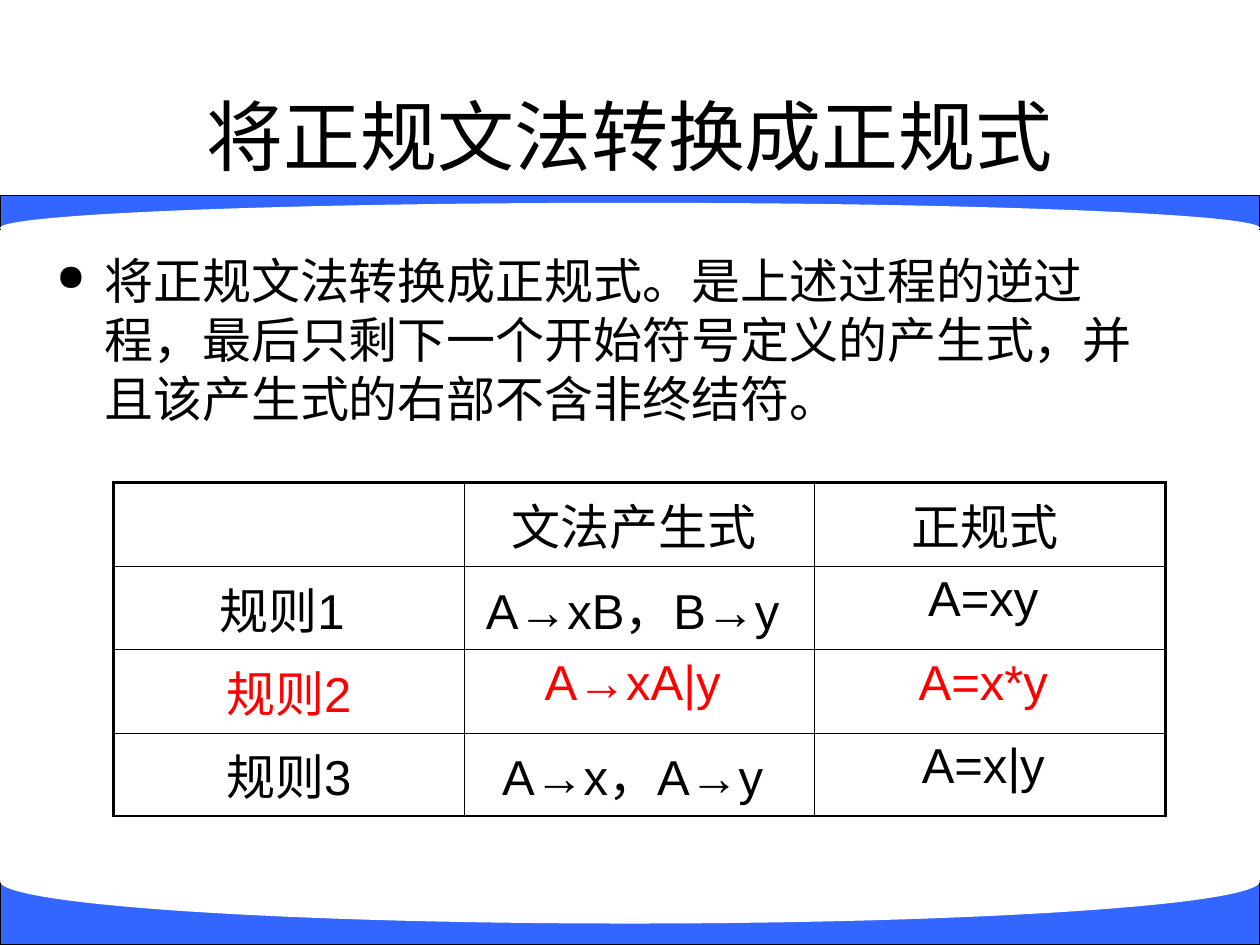
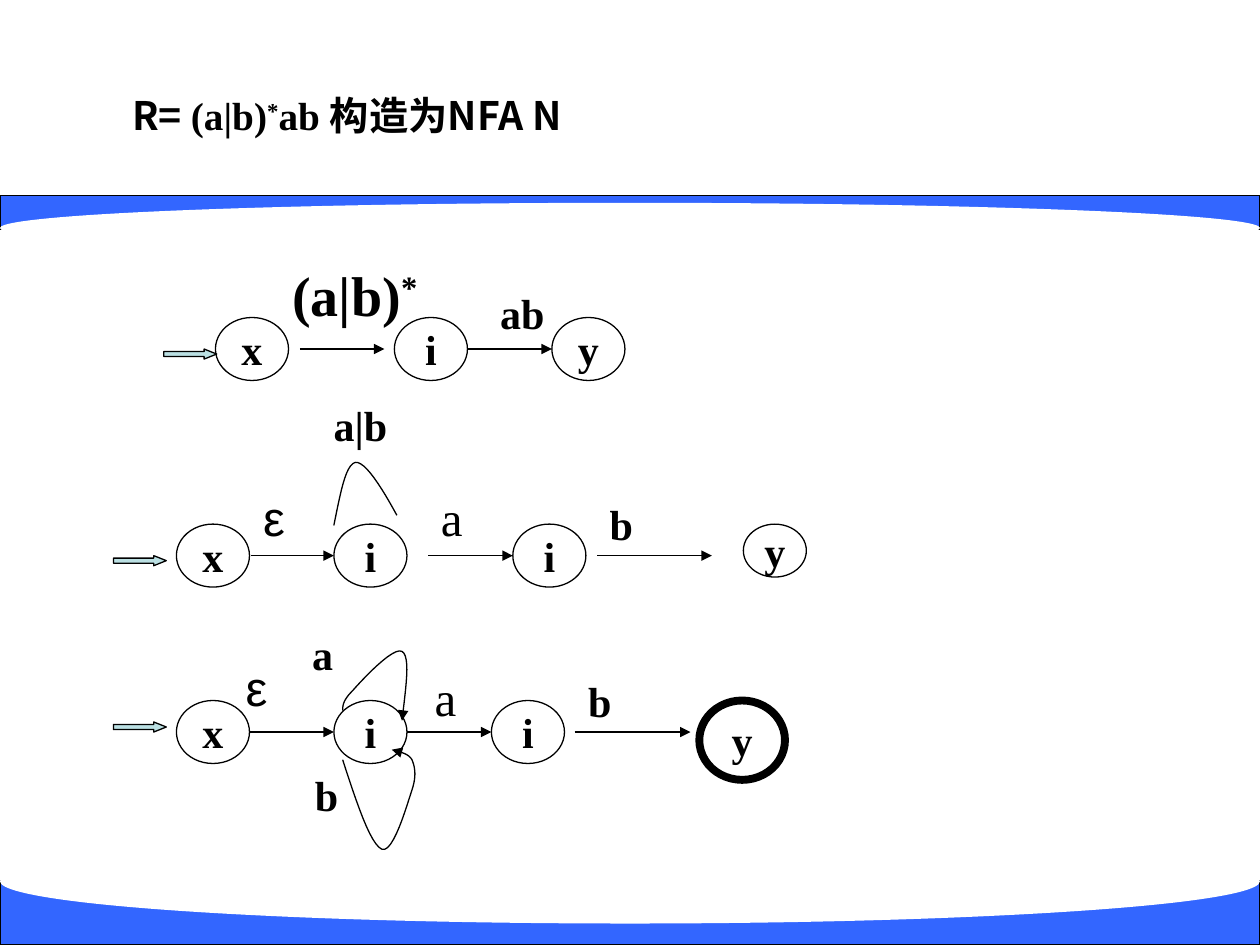
from pptx import Presentation
from pptx.dml.color import RGBColor
from pptx.enum.shapes import MSO_CONNECTOR, MSO_SHAPE
from pptx.enum.text import MSO_ANCHOR, PP_ALIGN
from pptx.oxml.ns import qn
from pptx.util import Inches, Pt
from lxml.etree import SubElement, Element

BLACK, WHITE, BLUE, RED, PALE = "000000", "FFFFFF", "3366FF", "FF0000", "BBE0E3"
SANS, SERIF, CHINESE = "Arial", "Times New Roman", "Noto Sans CJK SC"
STATE_WIDTH, STATE_HEIGHT = 0.58, 0.5


def paint(target, color):
    target.solid()
    target.fore_color.rgb = RGBColor.from_string(color)


def style_shape(shape, fill=None, line=BLACK, weight=0.75):
    shape.shadow.inherit = False
    if fill:
        paint(shape.fill, fill)
    else:
        shape.fill.background()
    if line:
        paint(shape.line.fill, line)
        shape.line.width = Pt(weight)
    else:
        shape.line.fill.background()


def add_preset(page, kind, left, top, width, height, **style):
    shape = page.shapes.add_shape(kind, Inches(left), Inches(top), Inches(width), Inches(height))
    style_shape(shape, **style)
    return shape


def add_span(para, text, size, font=SANS, color=BLACK, bold=False, raised=False):
    span = para.add_run()
    span.text = text
    span.font.size = Pt(size)
    span.font.name = font
    span.font.bold = bold
    span.font.color.rgb = RGBColor.from_string(color)
    properties = span._r.get_or_add_rPr()
    SubElement(properties, qn("a:ea")).set("typeface", CHINESE)
    if raised:
        properties.set("baseline", "30000")


def add_box(page, left, top, width, height, wrap=True):
    box = page.shapes.add_textbox(Inches(left), Inches(top), Inches(width), Inches(height))
    box.text_frame.word_wrap = wrap
    return box.text_frame


def hang(para, indent, spacing):
    properties = para._p.get_or_add_pPr()
    properties.set("marL", str(Inches(indent)))
    properties.set("indent", str(-Inches(indent)))
    properties.set("hangingPunct", "0")
    para.line_spacing = spacing
    return properties


def add_bands(page):
    for top, height, oval_top, oval_height in ((1.55, 0.27, 1.61, 0.4), (6.99, 0.51, 6.66, 0.67)):
        add_preset(page, MSO_SHAPE.RECTANGLE, 0, top, 10, height, fill=BLUE)
        add_preset(page, MSO_SHAPE.OVAL, 0, oval_top, 10, oval_height, fill=WHITE, line=None)


def add_page(deck):
    page = deck.slides.add_slide(deck.slide_layouts[6])
    paint(page.background.fill, WHITE)
    add_bands(page)
    return page


def add_title(page, text):
    frame = add_box(page, 0.33, 0.44, 9.34, 1.25)
    frame.vertical_anchor = MSO_ANCHOR.MIDDLE
    para = frame.paragraphs[0]
    para.alignment = PP_ALIGN.CENTER
    add_span(para, text, 44)


def add_bullet(page, text):
    para = add_box(page, 0.35, 1.94, 8.84, 1.66).paragraphs[0]
    properties = hang(para, 0.38, 1.0)
    color = SubElement(properties, qn("a:buClr"))
    SubElement(color, qn("a:srgbClr")).set("val", BLACK)
    SubElement(properties, qn("a:buSzPct")).set("val", "75000")
    SubElement(properties, qn("a:buChar")).set("char", "●")
    add_span(para, text, 28)


def set_borders(cell, weights):
    properties = cell._tc.get_or_add_tcPr()
    for position, (side, weight) in enumerate(zip("LRTB", weights)):
        border = Element(qn(f"a:ln{side}"), w=str(Pt(weight)))
        fill = SubElement(border, qn("a:solidFill"))
        SubElement(fill, qn("a:srgbClr")).set("val", BLACK)
        properties.insert(position, border)


def add_rule_table(page, rows, red_row):
    row_count, column_count = len(rows), len(rows[0])
    frame = page.shapes.add_table(row_count, column_count, Inches(0.9), Inches(3.83),
                                  Inches(8.35), Inches(2.65))
    table = frame.table
    table.first_row = table.horz_banding = False
    for r, texts in enumerate(rows):
        for c, text in enumerate(texts):
            cell = table.cell(r, c)
            cell.fill.background()
            outer = (c == 0, c == column_count - 1, r == 0, r == row_count - 1)
            set_borders(cell, [1.5 if edge else 0.45 for edge in outer])
            if text:
                para = cell.text_frame.paragraphs[0]
                para.alignment = PP_ALIGN.CENTER
                add_span(para, text, 28, color=RED if r == red_row else BLACK)


def add_state(page, name, left, top, width=STATE_WIDTH, height=STATE_HEIGHT, weight=0.75):
    state = add_preset(page, MSO_SHAPE.OVAL, left, top, width, height, weight=weight)
    frame = state.text_frame
    frame.word_wrap = False
    frame.vertical_anchor = MSO_ANCHOR.MIDDLE
    para = frame.paragraphs[0]
    para.alignment = PP_ALIGN.CENTER
    add_span(para, name, 24, SERIF, bold=True)


def add_start_arrow(page, left, top):
    arrow = add_preset(page, MSO_SHAPE.RIGHT_ARROW, left, top, 0.42, 0.08, fill=PALE)
    arrow.adjustments[0] = 0.5
    arrow.adjustments[1] = 1.25


def add_arrowhead(line):
    SubElement(line._get_or_add_ln(), qn("a:tailEnd")).set("type", "triangle")


def add_transition(page, start, end, y):
    arrow = page.shapes.add_connector(MSO_CONNECTOR.STRAIGHT, Inches(start), Inches(y),
                                      Inches(end), Inches(y))
    paint(arrow.line.fill, BLACK)
    arrow.line.width = Pt(0.75)
    add_arrowhead(arrow.line)
    SubElement(arrow._element.spPr, qn("a:effectLst"))


def curve_points(start, curves, steps=12):
    points = []
    for first, second, end in curves:
        for step in range(1, steps + 1):
            t = step / steps
            weights = ((1 - t) ** 3, 3 * t * (1 - t) ** 2, 3 * t * t * (1 - t), t ** 3)
            corners = (start, first, second, end)
            points.append(tuple(Inches(sum(w * corner[axis] for w, corner in zip(weights, corners)))
                                for axis in (0, 1)))
        start = end
    return points


def add_loop(page, start, curves, arrow=True):
    builder = page.shapes.build_freeform(Inches(start[0]), Inches(start[1]))
    builder.add_line_segments(curve_points(start, curves), close=False)
    loop = builder.convert_to_shape()
    style_shape(loop)
    if arrow:
        add_arrowhead(loop.line)


def add_label(page, text, left, top, width):
    para = add_box(page, left, top, width, 0.5, wrap=False).paragraphs[0]
    add_span(para, text, 24, SERIF, bold=True)


def add_plain_label(page, text, left, top, font=SERIF):
    para = add_box(page, left, top, 0.75, 0.57).paragraphs[0]
    add_span(para, text, 28, font)


def add_automaton(page, start_arrow, states, state_top, transitions):
    add_start_arrow(page, *start_arrow)
    for name, left in states:
        add_state(page, name, left, state_top)
    for start, end in transitions:
        add_transition(page, start, end, state_top + STATE_HEIGHT / 2)


def build_grammar_page(deck):
    page = add_page(deck)
    add_title(page, "将正规文法转换成正规式")
    add_bullet(page, "将正规文法转换成正规式。是上述过程的逆过程，最后只剩下一个开始符号定义的产生式，"
                     "并且该产生式的右部不含非终结符。")
    add_rule_table(page, [
        ("", "文法产生式 ", "正规式 "),
        ("规则1 ", "A→xB，B→y ", "A=xy "),
        ("规则2", "A→xA|y ", "A=x*y "),
        ("规则3", "A→x，A→y ", "A=x|y "),
    ], red_row=2)


def build_automata_page(deck):
    page = add_page(deck)
    heading = add_box(page, 0.95, 0.75, 8.5, 0.73).paragraphs[0]
    hang(heading, 0.38, 0.8)
    for text, font, raised in (("R= ", CHINESE, False), ("(a|b)", SERIF, False), ("*", SERIF, True),
                               ("ab ", SERIF, False), ("构造为NFA N", CHINESE, False)):
        add_span(heading, text, 22.4, font, bold=True, raised=raised)

    add_automaton(page, (1.3, 2.77), (("x", 1.71), ("i", 3.13), ("y", 4.38)), 2.52,
                  ((2.38, 3.05), (3.71, 4.38)))
    closure = add_box(page, 2.22, 2.02, 1.19, 0.64, wrap=False).paragraphs[0]
    add_span(closure, "(a|b)", 32, SERIF, bold=True)
    add_span(closure, "*", 32, SERIF, bold=True, raised=True)
    add_label(page, "ab", 3.87, 2.23, 0.55)

    add_automaton(page, (0.9, 4.41), (("x", 1.4), ("i", 2.65), ("i", 4.07)), 4.16,
                  ((1.99, 2.65), (3.4, 4.07), (4.74, 5.65)))
    add_state(page, "y", 5.9, 4.16, 0.5, 0.42)
    add_loop(page, (2.65, 4.17), [((2.7, 3.93), (2.74, 3.69), (2.82, 3.67)),
                                  ((2.9, 3.66), (3.03, 3.87), (3.15, 4.09))], arrow=False)
    add_label(page, "a|b", 2.55, 3.12, 0.64)
    add_label(page, "b", 4.74, 3.91, 0.38)
    add_plain_label(page, "ε", 1.99, 3.82, SANS)
    add_plain_label(page, "a", 3.4, 3.82)

    add_automaton(page, (0.9, 5.73), (("x", 1.4), ("i", 2.65), ("i", 3.9)), 5.56,
                  ((1.98, 2.65), (3.23, 3.9), (4.56, 5.48)))
    add_state(page, "y", 5.55, 5.56, 0.68, 0.63, weight=4.5)
    add_loop(page, (2.72, 5.64), [((2.72, 5.6), (2.72, 5.56), (2.8, 5.48)),
                                  ((2.87, 5.4), (3.12, 5.13), (3.19, 5.17)),
                                  ((3.26, 5.21), (3.22, 5.46), (3.19, 5.72))])
    add_loop(page, (2.72, 6.03), [((2.83, 6.37), (2.94, 6.7), (3.03, 6.74)),
                                  ((3.12, 6.78), (3.23, 6.39), (3.27, 6.27)),
                                  ((3.31, 6.15), (3.29, 6.08), (3.27, 6.03)),
                                  ((3.24, 5.98), (3.18, 5.97), (3.11, 5.95))])
    add_label(page, "a", 2.38, 4.94, 0.36)
    add_label(page, "b", 2.4, 6.06, 0.38)
    add_label(page, "b", 4.57, 5.31, 0.38)
    add_plain_label(page, "ε", 1.85, 5.17, SANS)
    add_plain_label(page, "a", 3.35, 5.25)


def main():
    deck = Presentation()
    deck.slide_width, deck.slide_height = Inches(10), Inches(7.5)
    build_grammar_page(deck)
    build_automata_page(deck)
    deck.save("out.pptx")


if __name__ == "__main__":
    main()
